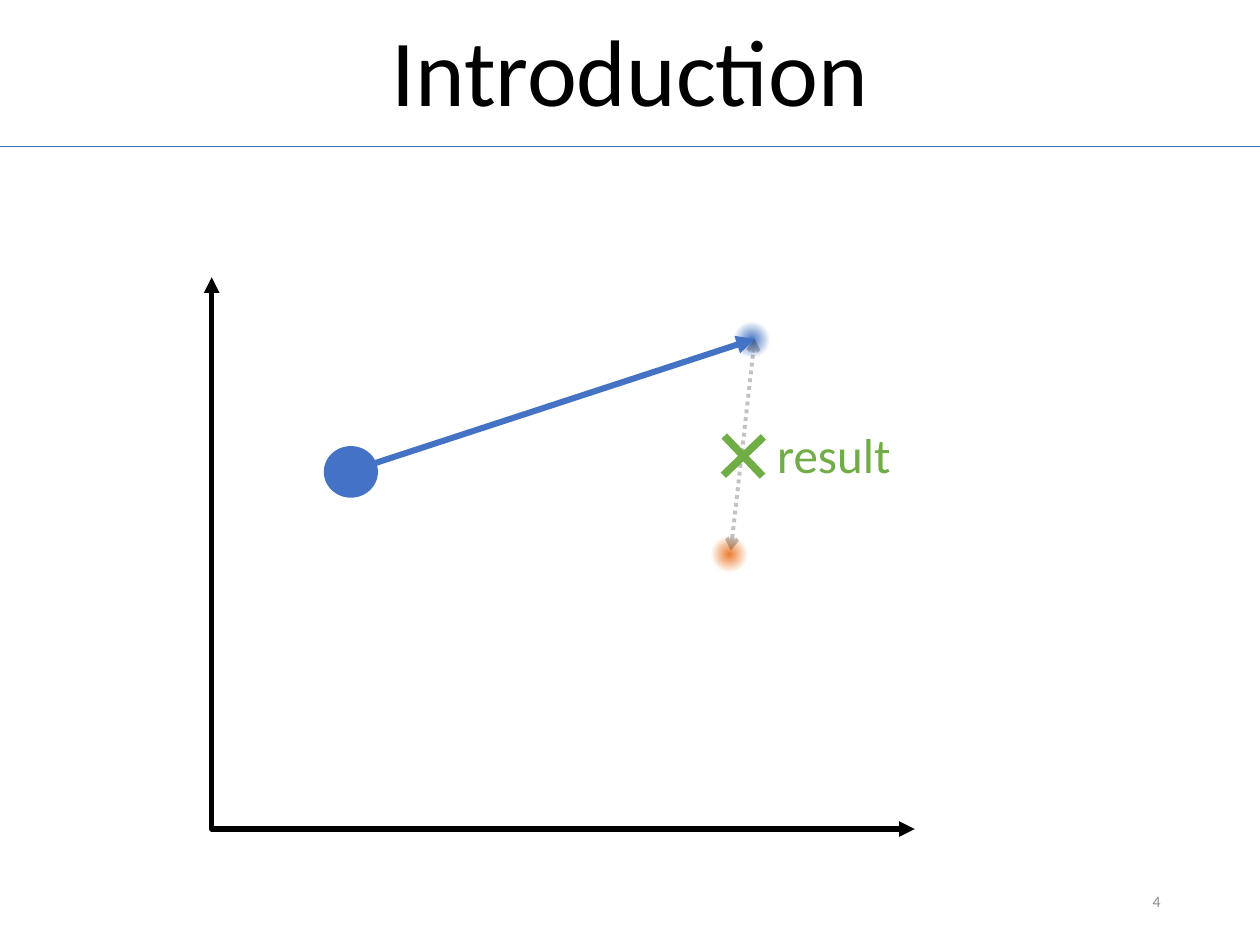
from dataclasses import dataclass
from typing import Optional

from lxml.etree import SubElement
from pptx import Presentation
from pptx.dml.color import RGBColor
from pptx.enum.dml import MSO_LINE
from pptx.enum.shapes import MSO_CONNECTOR, MSO_SHAPE
from pptx.enum.text import MSO_ANCHOR, MSO_AUTO_SIZE, PP_ALIGN
from pptx.oxml import parse_xml
from pptx.oxml.ns import nsdecls, qn
from pptx.util import Inches, Pt


@dataclass(frozen=True)
class Theme:
    font: str = "Calibri"
    black: str = "000000"
    gray: str = "8C8C8C"
    blue: str = "4472C4"
    orange: str = "ED7D31"
    green: str = "70AD47"
    title_size: float = 54
    label_size: float = 28
    number_size: float = 9


THEME = Theme()


@dataclass(frozen=True)
class Line:
    start: tuple[float, float]
    end: tuple[float, float]
    color: str
    width: float
    head: Optional[str] = None
    tail: Optional[str] = None
    dotted: bool = False
    opacity: int = 100


@dataclass(frozen=True)
class Blob:
    left: float
    top: float
    width: float
    height: float
    color: str
    fade_at: Optional[int] = None  # percent of the radius; None is solid


def add_line(slide, line: Line):
    connector = slide.shapes.add_connector(
        MSO_CONNECTOR.STRAIGHT, *map(Inches, line.start + line.end))
    connector.line.color.rgb = RGBColor.from_string(line.color)
    connector.line.width = Pt(line.width)
    if line.dotted:
        connector.line.dash_style = MSO_LINE.ROUND_DOT
    properties = connector._element.spPr
    outline = properties.find(qn("a:ln"))
    if line.opacity < 100:
        color = outline.find(".//" + qn("a:srgbClr"))
        SubElement(color, qn("a:alpha"), val=str(line.opacity * 1000))
    for tag, kind in (("a:headEnd", line.head), ("a:tailEnd", line.tail)):
        if kind:
            SubElement(outline, qn(tag), type=kind)
    SubElement(properties, qn("a:effectLst"))
    return connector


def add_axes(slide) -> None:
    """Draw both axes as one elbow, turned so its corner is the origin."""
    axes = add_line(slide, Line((2.28, 1.6), (6.66, 7.18), THEME.black, 3,
                                "triangle", "triangle"))
    properties = axes._element.spPr
    properties.find(qn("a:prstGeom")).set("prst", "bentConnector2")
    frame = properties.find(qn("a:xfrm"))
    frame.set("rot", str(270 * 60000))
    frame.set("flipH", "1")


def add_filled(slide, kind: MSO_SHAPE, blob: Blob):
    shape = slide.shapes.add_shape(
        kind, *map(Inches, (blob.left, blob.top, blob.width, blob.height)))
    shape.shadow.inherit = False
    shape.fill.solid()
    shape.fill.fore_color.rgb = RGBColor.from_string(blob.color)
    shape.line.fill.background()
    return shape


def add_blob(slide, blob: Blob) -> None:
    shape = add_filled(slide, MSO_SHAPE.OVAL, blob)
    if blob.fade_at is None:
        return
    # Radial fade from the full colour to transparent
    gradient = parse_xml(
        f'<a:gradFill {nsdecls("a")} rotWithShape="1"><a:gsLst>'
        f'<a:gs pos="0"><a:srgbClr val="{blob.color}"/></a:gs>'
        f'<a:gs pos="{blob.fade_at * 1000}"><a:srgbClr val="{blob.color}">'
        '<a:alpha val="0"/></a:srgbClr></a:gs></a:gsLst>'
        '<a:path path="circle"><a:fillToRect l="50000" t="50000" '
        'r="50000" b="50000"/></a:path></a:gradFill>')
    properties = shape._element.spPr
    properties.replace(properties.find(qn("a:solidFill")), gradient)


def write(frame, text: str, size: float, color: str,
          align: PP_ALIGN = PP_ALIGN.LEFT):
    paragraph = frame.paragraphs[0]
    paragraph.alignment = align
    run = paragraph.add_run()
    run.text = text
    run.font.name = THEME.font
    run.font.size = Pt(size)
    run.font.color.rgb = RGBColor.from_string(color)
    return paragraph


def main() -> None:
    deck = Presentation()
    deck.slide_width, deck.slide_height = Inches(10), Inches(7.5)
    slide = deck.slides.add_slide(deck.slide_layouts[5])

    # Title and rule
    title = slide.shapes.title
    title.left, title.top = Inches(0), Inches(0.02)
    title.width, title.height = Inches(10), Inches(1.16)
    title.text_frame.auto_size = MSO_AUTO_SIZE.NONE
    title.text_frame.vertical_anchor = MSO_ANCHOR.MIDDLE
    heading = write(title.text_frame, "Introduction", THEME.title_size,
                    THEME.black, PP_ALIGN.CENTER)
    heading.line_spacing = 0.9
    add_line(slide, Line((0, 1.16), (10, 1.16), THEME.blue, 0.5))

    # Slide number
    number = slide.shapes.add_textbox(
        *map(Inches, (7.06, 6.95, 2.25, 0.4))).text_frame
    number.word_wrap = True
    number.vertical_anchor = MSO_ANCHOR.MIDDLE
    write(number, "4", THEME.number_size, THEME.gray, PP_ALIGN.RIGHT)

    # Diagram: fading targets, axes, start point and arrows
    add_blob(slide, Blob(3.61, 2.42, 4.35, 3.96, THEME.orange, 5))
    add_blob(slide, Blob(4.67, 1.4, 2.59, 2.59, THEME.blue, 8))
    add_axes(slide)
    add_blob(slide, Blob(2.57, 3.54, 0.43, 0.41, THEME.blue))
    target = (5.99, 2.69)
    add_line(slide, Line((2.78, 3.74), target, THEME.blue, 3.5,
                         tail="triangle"))
    add_line(slide, Line((5.8, 4.37), target, THEME.black, 2.25,
                         "arrow", "arrow", dotted=True, opacity=24))

    # Result mark and its label
    mark = add_filled(slide, MSO_SHAPE.CROSS,
                      Blob(5.68, 3.4, 0.44, 0.44, THEME.green))
    mark.adjustments[0] = 0.432
    mark.rotation = 46.3
    label = slide.shapes.add_textbox(
        *map(Inches, (6.07, 3.32, 1.11, 0.57))).text_frame
    label.word_wrap = False
    label.auto_size = MSO_AUTO_SIZE.SHAPE_TO_FIT_TEXT
    write(label, "result", THEME.label_size, THEME.green)

    deck.save("out.pptx")


if __name__ == "__main__":
    main()
